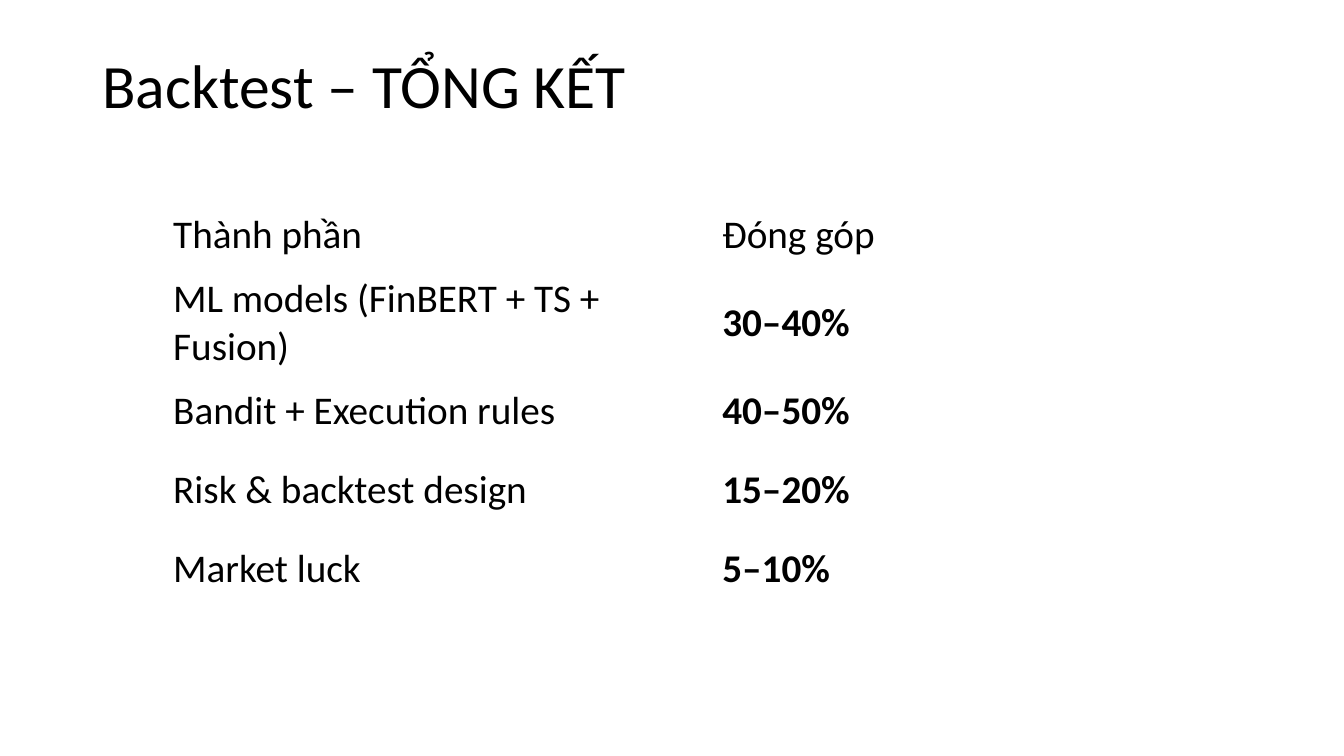
from pptx import Presentation
from pptx import util as u
from pptx.dml.color import RGBColor
from pptx.enum import text

PX = 9525
BLACK = RGBColor(0, 0, 0)
FONT = "Calibri"
ROW_HEIGHT = 75
COLUMN_WIDTH = 523
CONTRIBUTIONS = [
    ("Thành phần", "Đóng góp"),
    ("ML models (FinBERT + TS + Fusion)", "30–40%"),
    ("Bandit + Execution rules", "40–50%"),
    ("Risk & backtest design", "15–20%"),
    ("Market luck", "5–10%"),
]


def px(length):
    return u.Emu(length * PX)


def format_text(frame, size, bold=False):
    paragraph = frame.paragraphs[0]
    paragraph.alignment = text.PP_ALIGN.LEFT
    for run in paragraph.runs:
        run.font.name = FONT
        run.font.size = u.Pt(size)
        run.font.bold = bold
        run.font.color.rgb = BLACK


def set_title(slide, wording):
    title = slide.shapes.title
    title.left, title.top, title.width, title.height = map(px, (88, 15, 1104, 139))
    frame = title.text_frame
    frame.text = wording
    frame.word_wrap = True
    frame.vertical_anchor = text.MSO_ANCHOR.MIDDLE
    frame.paragraphs[0].line_spacing = 0.9
    format_text(frame, 44)


def fill_cell(cell, wording, bold):
    cell.fill.background()
    cell.vertical_anchor = text.MSO_ANCHOR.MIDDLE
    cell.margin_left = cell.margin_right = px(3)
    cell.margin_top = cell.margin_bottom = px(1)
    cell.text_frame.text = wording
    format_text(cell.text_frame, 28, bold)


def add_contributions(slide, rows):
    columns = len(rows[0])
    table = slide.shapes.add_table(
        len(rows), columns, px(162), px(186),
        px(COLUMN_WIDTH * columns), px(ROW_HEIGHT * len(rows)),
    ).table
    table.first_row = False
    table.horz_banding = False
    for r, row in enumerate(rows):
        for c, wording in enumerate(row):
            fill_cell(table.cell(r, c), wording, bold=r > 0 and c == 1)


def main():
    deck = Presentation()
    deck.slide_width, deck.slide_height = px(1280), px(720)
    slide = deck.slides.add_slide(deck.slide_layouts[5])
    set_title(slide, "Backtest – TỔNG KẾT")
    add_contributions(slide, CONTRIBUTIONS)
    deck.save("out.pptx")


if __name__ == "__main__":
    main()
